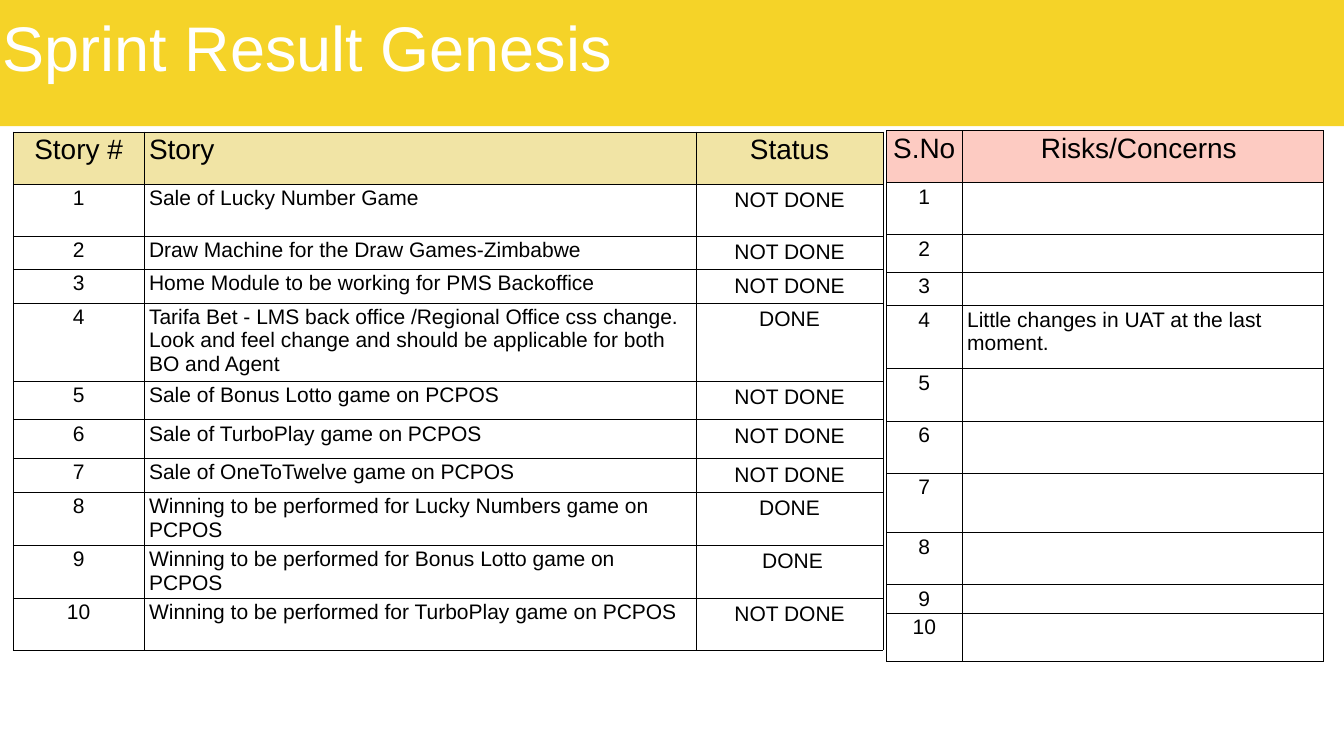
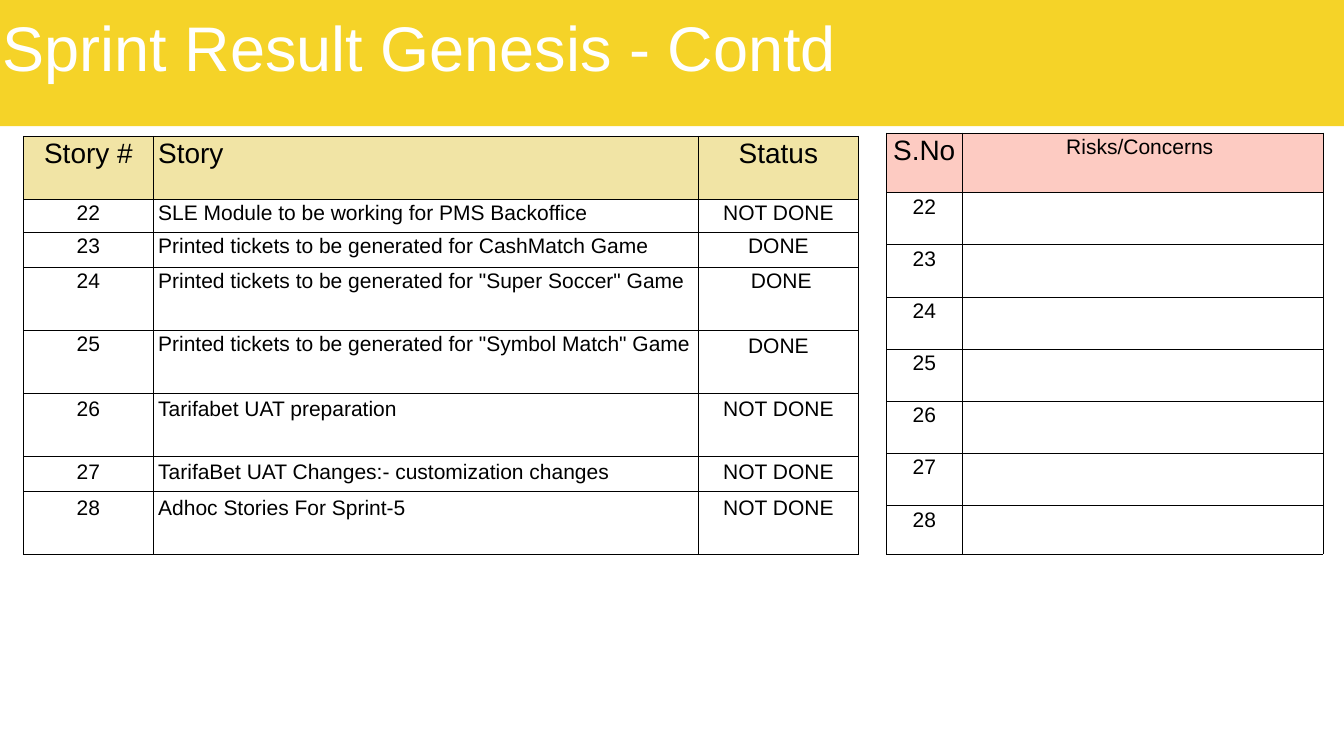
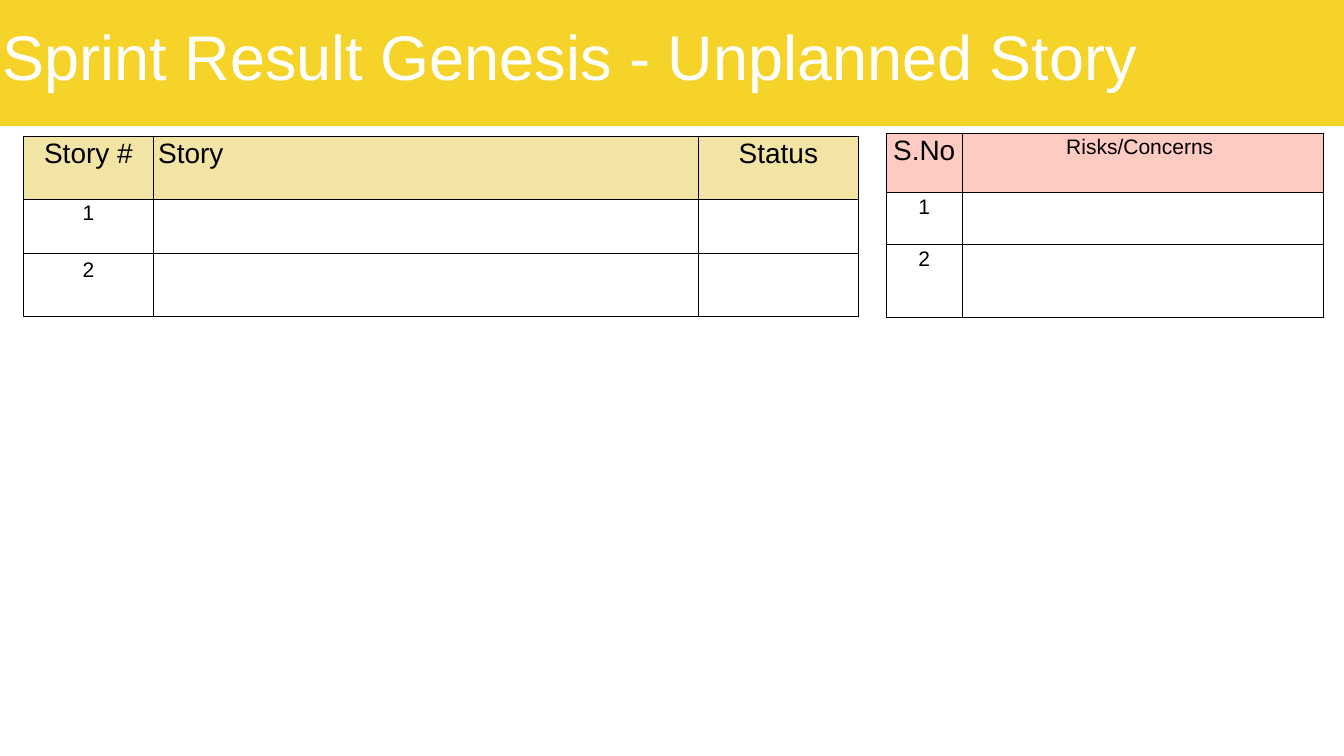
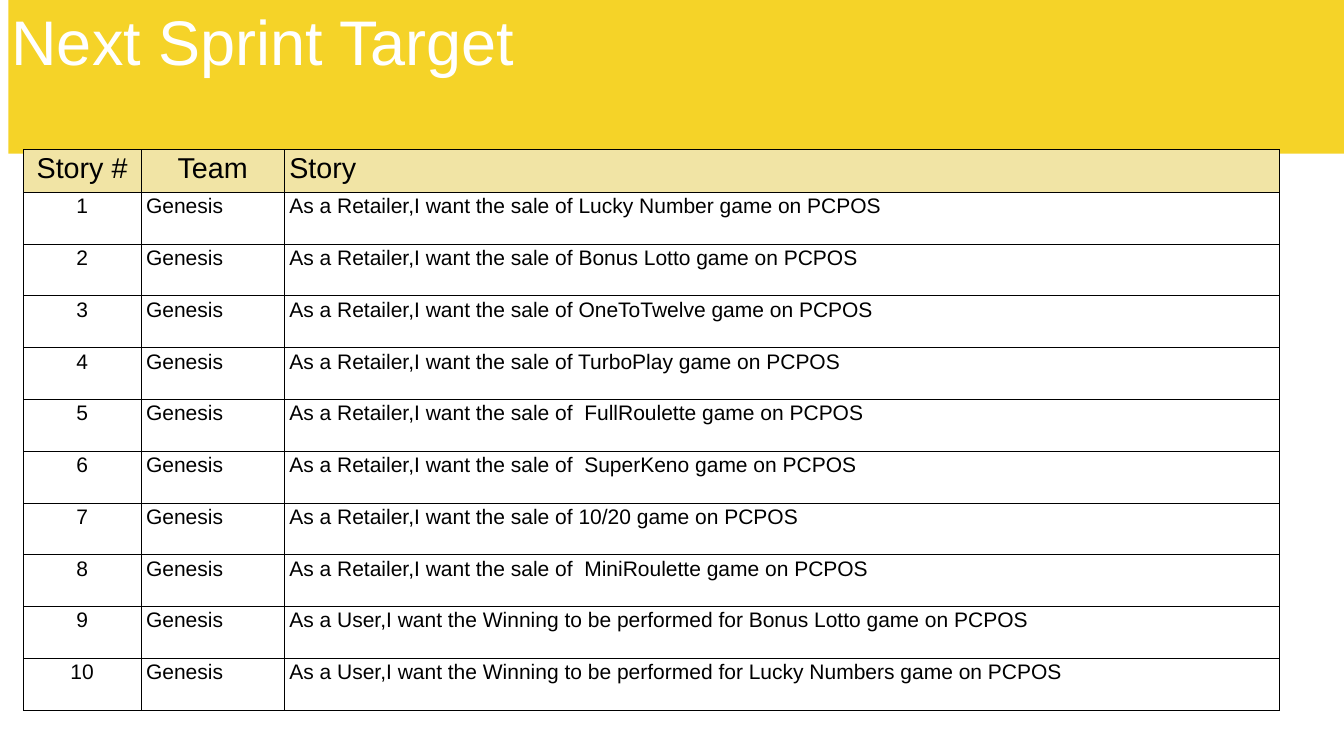
"""Build the four sprint review slides."""
from lxml import etree
from pptx import Presentation
from pptx.dml.color import RGBColor
from pptx.enum.shapes import MSO_SHAPE
from pptx.enum.text import MSO_ANCHOR, PP_ALIGN
from pptx.oxml.ns import qn
from pptx.util import Cm, Pt

RECT = MSO_SHAPE.RECTANGLE
MIDDLE = MSO_ANCHOR.MIDDLE
ALIGN = {"c": PP_ALIGN.CENTER, "l": PP_ALIGN.LEFT}
WHITE = RGBColor(0xFF, 0xFF, 0xFF)
BLACK = RGBColor(0, 0, 0)
YELLOW = RGBColor(0xF5, 0xD3, 0x28)
CREAM = RGBColor(0xF1, 0xE4, 0xA5)
PINK = RGBColor(0xFD, 0xCB, 0xC2)
FONT = "Arial"
TITLE, HEAD, BODY = 90, 40, 30
WIDE, HIGH = 67.72, 38.1
ROW, TALL, GOAL = 2.63, 3.17, 2.61
TIGHT, ROOMY = 0.13, 0.24

STORY_HEAD = ("Story #", "Story", "Status")
RISK_HEAD = ("S.No", "Risks/Concerns ")
TARGET_HEAD = ("Story #", "Team", "Story")
HEAD_ALIGN = {"Story": "l"}

DONE_LIST = [
    ("1", "Sale of Lucky Number Game", "NOT DONE"),
    ("2", "Draw Machine for the Draw Games-Zimbabwe", "NOT DONE"),
    ("3", "Home Module to be working for PMS Backoffice", "NOT DONE"),
    ("4", "Tarifa Bet - LMS back office /Regional Office css change.\n"
          "Look and feel change and should be applicable for both BO and Agent", "DONE"),
    ("5", "Sale of Bonus Lotto game on PCPOS", "NOT DONE"),
    ("6", "Sale of TurboPlay game on PCPOS", "NOT DONE"),
    ("7", "Sale of OneToTwelve game on PCPOS", "NOT DONE"),
    ("8", "Winning to be performed for Lucky Numbers game on PCPOS", "DONE"),
    ("9", "Winning to be performed for Bonus Lotto game on PCPOS", " DONE"),
    ("10", "Winning to be performed for TurboPlay game on PCPOS", "NOT DONE"),
]
MORE_LIST = [
    ("22", "SLE Module to be working for PMS Backoffice", "NOT DONE"),
    ("23", "Printed tickets to be generated for CashMatch Game", "DONE"),
    ("24", 'Printed tickets to be generated for "Super Soccer" Game', " DONE"),
    ("25", 'Printed tickets to be generated for "Symbol Match" Game', "DONE"),
    ("26", "Tarifabet UAT preparation", "NOT DONE"),
    ("27", "TarifaBet UAT Changes:- customization changes", "NOT DONE"),
    ("28", "Adhoc Stories For Sprint-5", "NOT DONE"),
]
EXTRA_LIST = [("1", "", ""), ("2", "", "")]
RISKS = {"4": "Little changes in UAT at the last moment."}
SALES = ["Lucky Number", "Bonus Lotto", "OneToTwelve", "TurboPlay", " FullRoulette",
         " SuperKeno", "10/20", " MiniRoulette"]
WINS = ["Bonus Lotto", "Lucky Numbers"]
TARGETS = ([f"As a Retailer,I want the sale of {game} game on PCPOS" for game in SALES]
           + [f"As a User,I want the Winning to be performed for {game} game on PCPOS"
              for game in WINS])

BAND = (0, -0.15, 67.74, 6.51)
RISK_LEFT, RISK_COLS = 44.66, (3.82, 18.19)
LATER_COLS = (6.53, 27.46, 8.08)

RESULTS = [
    dict(title="Sprint Result Genesis", box=(0, 0.28, 33.4, 4.09), items=DONE_LIST,
         at=(0.66, 6.65), cols=(6.6, 27.81, 9.43),
         rows=(2.62, 2.62, 1.68, 1.7, 3.78, 1.93, 1.96, 1.7, 2.62, 2.62, 2.62),
         roomy={(r, 2) for r in range(1, 11)}, top=6.58, size=HEAD,
         heights=(2.62, 2.62, 1.88, 1.7, 3.18, ROW, ROW, 3, 2.62, 1.45, 2.43)),
    dict(title="Sprint Result Genesis - Contd", box=(0, 0.28, 43.26, 4.09), items=MORE_LIST,
         at=(1.19, 6.86), cols=LATER_COLS,
         rows=(TALL, 1.68, 1.76, TALL, TALL, TALL, 1.8, TALL),
         roomy={(4, 2)} | {(r, c) for r in (5, 6, 7) for c in range(3)},
         top=6.7, size=BODY, heights=(3, *[ROW] * 6, 2.43)),
    dict(title="Sprint Result Genesis - Unplanned Story", box=(0, 0.73, 60.15, 4.09),
         items=EXTRA_LIST, at=(1.19, 6.86), cols=LATER_COLS, rows=(TALL, 2.74, TALL),
         roomy={(2, 0)}, top=6.7, size=BODY, heights=(3, ROW, 3.66)),
]


def write(para, text, size, color):
    run = para.add_run()
    run.text = text
    run.font.name = FONT
    run.font.size = Pt(size)
    run.font.color.rgb = color


def add_title(slide, text, box, band=BAND):
    bar = slide.shapes.add_shape(RECT, *map(Cm, band))
    bar.shadow.inherit = False
    bar.fill.solid()
    bar.fill.fore_color.rgb = YELLOW
    bar.line.fill.background()
    frame = slide.shapes.add_textbox(*map(Cm, box)).text_frame
    frame.word_wrap = True
    frame.vertical_anchor = MIDDLE
    frame.margin_left = frame.margin_right = Cm(0.15)
    frame.margin_top = frame.margin_bottom = Cm(0.15)
    write(frame.paragraphs[0], text, TITLE, WHITE)


def add_edges(cell):
    props = cell._tc.get_or_add_tcPr()
    for spot, tag in enumerate(("a:lnL", "a:lnR", "a:lnT", "a:lnB")):
        line = etree.Element(qn(tag), w=str(Pt(0.75)))
        fill = etree.SubElement(line, qn("a:solidFill"))
        etree.SubElement(fill, qn("a:srgbClr"), val=str(BLACK))
        props.insert(spot, line)


def fill_cell(cell, text, size, align, pad, color):
    if color is None:
        cell.fill.background()
    else:
        cell.fill.solid()
        cell.fill.fore_color.rgb = color
    add_edges(cell)
    cell.margin_left = cell.margin_right = Cm(0.25)
    cell.margin_top, cell.margin_bottom = Cm(pad), Cm(0)
    if not text:
        return
    frame = cell.text_frame
    for i, line in enumerate(text.split("\n")):
        para = frame.add_paragraph() if i else frame.paragraphs[0]
        para.alignment = ALIGN[align]
        write(para, line, size, BLACK)


def add_grid(slide, at, cols, rows, cells, aligns, color, sizes, roomy=()):
    shape = slide.shapes.add_table(len(rows), len(cols), Cm(at[0]), Cm(at[1]),
                                   Cm(sum(cols)), Cm(sum(rows)))
    table = shape.table
    table.first_row = table.horz_banding = False
    for col, width in zip(table.columns, cols):
        col.width = Cm(width)
    for r, (height, texts) in enumerate(zip(rows, cells)):
        table.rows[r].height = Cm(height)
        for c, text in enumerate(texts):
            fill_cell(table.cell(r, c), text, BODY if r else sizes[c],
                      aligns[c] if r else HEAD_ALIGN.get(text, "c"),
                      ROOMY if (r, c) in roomy else TIGHT, None if r else color)


def main():
    deck = Presentation()
    deck.slide_width, deck.slide_height = Cm(WIDE), Cm(HIGH)
    blank = deck.slide_layouts[6]
    for part in RESULTS:
        slide = deck.slides.add_slide(blank)
        add_title(slide, part["title"], part["box"])
        add_grid(slide, part["at"], part["cols"], part["rows"],
                 [STORY_HEAD, *part["items"]], "clc", CREAM, [HEAD] * 3, part["roomy"])
        risks = [(item[0], RISKS.get(item[0], "")) for item in part["items"]]
        add_grid(slide, (RISK_LEFT, part["top"]), RISK_COLS, part["heights"],
                 [RISK_HEAD, *risks], "cl", PINK, (HEAD, part["size"]))
    slide = deck.slides.add_slide(blank)
    add_title(slide, "Next Sprint Target", (0.43, -0.03, 31.34, 4.09),
              (0.42, -0.03, 67.74, 7.77))
    goals = [(str(n), "Genesis", text) for n, text in enumerate(TARGETS, 1)]
    add_grid(slide, (1.17, 7.54), (5.94, 7.22, 50.14), (2.14, *[GOAL] * len(goals)),
             [TARGET_HEAD, *goals], "cll", CREAM, [HEAD + 1] * 3)
    deck.save("out.pptx")


if __name__ == "__main__":
    main()
